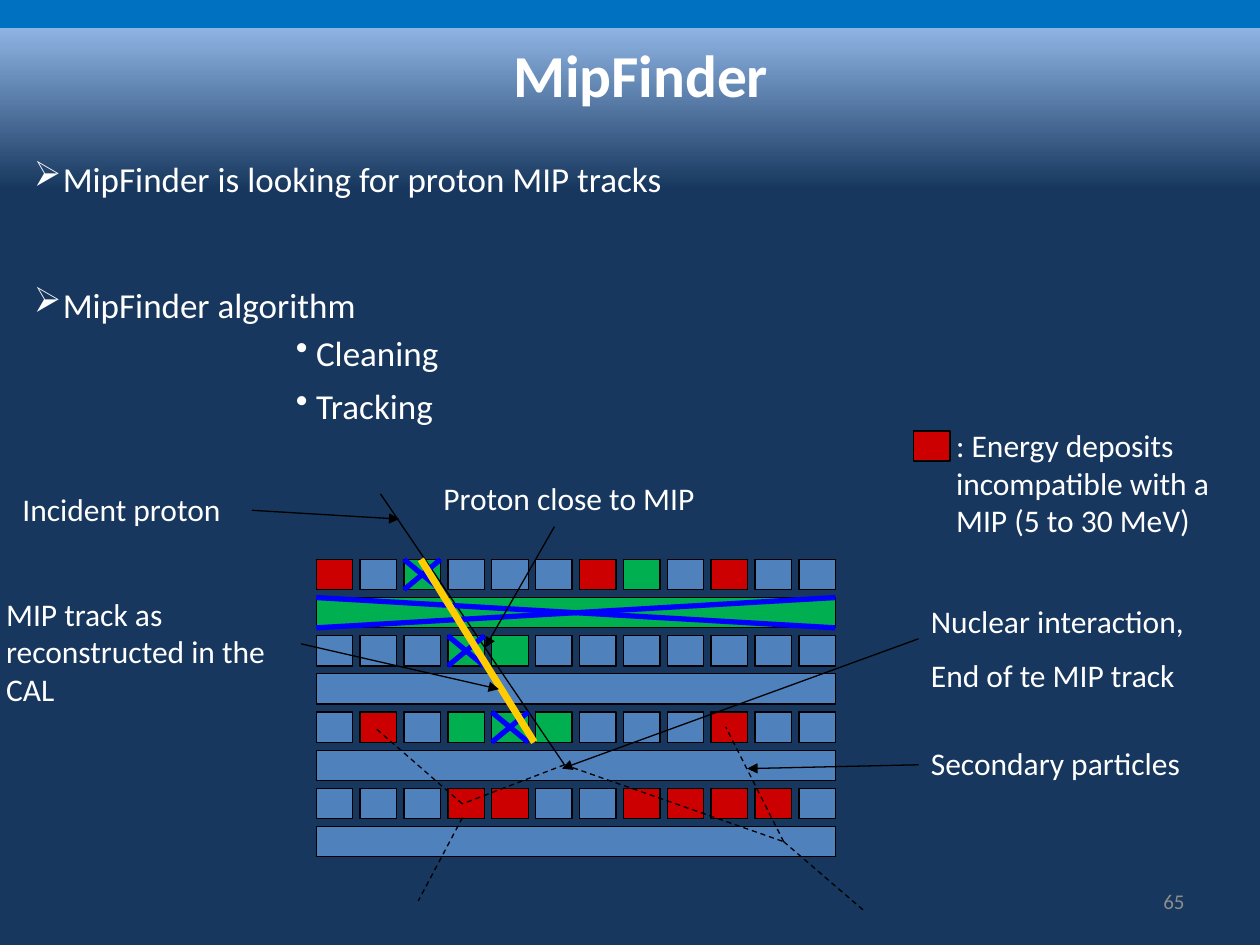
from lxml.etree import SubElement
from pptx import Presentation
from pptx.dml.color import RGBColor
from pptx.enum.dml import MSO_LINE
from pptx.enum.shapes import MSO_CONNECTOR, MSO_SHAPE
from pptx.enum.text import MSO_ANCHOR, MSO_AUTO_SIZE, PP_ALIGN
from pptx.oxml.ns import qn
from pptx.util import Inches, Pt

WHITE, BLACK, GREY = "FFFFFF", "000000", "8C8C8C"
RED, GREEN, STEEL = "CC0000", "00B050", "4F81BD"
BLUE, YELLOW = "0000FF", "FFCC00"
BACKGROUND = [(3, "0070C0"), (3, "8EB4E3"), (20, "17375E"), (100, "17375E")]

# Calorimeter layers: one letter per cell, a single letter is a full-width bar
LAYERS = ["RBGBBBRGBRBB", "G", "BBBGGBBBBBBB", "B",
          "BRBGGGBBBRBB", "B", "BBBRRBBRRRRB", "B"]
CELL_COLORS = {"R": RED, "G": GREEN, "B": STEEL}
CROSSED = [(1, 0), (4, 4), (0, 2), (2, 3)]  # layer, column
GRID_LEFT, GRID_TOP, GRID_WIDTH = 2.51, 4.44, 4.12
CELL_WIDTH, CELL_HEIGHT = 0.29, 0.24
COLUMN_STEP = (GRID_WIDTH - CELL_WIDTH) / 11
ROW_STEP = 2.12 / 7

# Particle paths
PROTON_START, VERTEX = (3.02, 3.92), (4.48, 6.07)
LEFT_HIT, RIGHT_HIT = (3.67, 6.38), (6.22, 6.68)
SECONDARIES = [
    (VERTEX, LEFT_HIT), (VERTEX, RIGHT_HIT),
    (LEFT_HIT, (2.97, 5.77)), (RIGHT_HIT, (5.76, 5.77)),
    ((3.67, 6.49), (3.32, 7.15)), (RIGHT_HIT, (6.86, 7.23)),
]
MIP_TRACK = ((3.34, 4.44), (4.24, 5.89))
POINTERS = [
    ((2.39, 5.11), (3.96, 5.47)),
    ((2, 4.05), (3.17, 4.12)),
    ((4.4, 4.18), (3.85, 5.14)),
    ((7.29, 5.07), (4.46, 6.1)),
    ((7.29, 6.07), (5.93, 6.1)),
]

# Text: left, top, width, height, paragraphs
LABELS = [
    (7.49, 3.33, 2.63, 1.01, [": Energy deposits incompatible with a MIP (5 to 30 MeV)"]),
    (-0.05, 4.67, 2.61, 1.01, ["MIP track as reconstructed in the CAL"]),
    (0.08, 3.84, 2.04, 0.4, ["Incident proton"]),
    (3.42, 3.75, 3.85, 0.4, ["Proton close to MIP"]),
    (7.29, 4.73, 3.25, 0.85, ["Nuclear interaction,", "End of te MIP track"]),
    (7.29, 5.86, 3, 0.4, ["Secondary particles"]),
]
# Bulleted text: left, top, width, bullet, hanging indent, wording
BULLETS = [
    (0.17, 1.2, 9.83, "➢", 0.23, "MipFinder is looking for proton MIP tracks"),
    (0.17, 2.2, 9.83, "➢", 0.23, "MipFinder algorithm"),
    (2.25, 2.58, 7.92, "•", 0.16, "Cleaning"),
    (2.25, 3, 7.92, "•", 0.16, "Tracking"),
]

deck = Presentation()
deck.slide_width, deck.slide_height = Inches(10), Inches(7.5)
page = deck.slides.add_slide(deck.slide_layouts[6])


def color(value):
    return RGBColor.from_string(value)


def paint_background():
    fill = page.background.fill
    fill.gradient()
    fill.gradient_angle = 270
    stops = page.element.find(".//" + qn("a:gsLst"))
    for stop in list(stops):
        stops.remove(stop)
    for position, value in BACKGROUND:
        stop = SubElement(stops, qn("a:gs"), pos=str(position * 1000))
        SubElement(stop, qn("a:srgbClr"), val=value)


def add_cell(left, top, width, fill):
    cell = page.shapes.add_shape(MSO_SHAPE.RECTANGLE, Inches(left), Inches(top),
                                 Inches(width), Inches(CELL_HEIGHT))
    cell.shadow.inherit = False
    cell.fill.solid()
    cell.fill.fore_color.rgb = color(fill)
    cell.line.color.rgb = color(BLACK)
    cell.line.width = Pt(0.75)


def add_line(start, end, stroke=BLACK, width=0.75, dashed=False, arrow=False):
    line = page.shapes.add_connector(MSO_CONNECTOR.STRAIGHT,
                                     *(Inches(value) for value in start + end))
    line.line.color.rgb = color(stroke)
    line.line.width = Pt(width)
    if dashed:
        line.line.dash_style = MSO_LINE.DASH
    if arrow:
        SubElement(line.line._get_or_add_ln(), qn("a:tailEnd"), type="triangle")
    SubElement(line.element.spPr, qn("a:effectLst"))


def add_text(left, top, width, height, paragraphs, size=18, fill=WHITE, bold=False,
             align=PP_ALIGN.LEFT, bullet=None, indent=0, grow=True):
    box = page.shapes.add_textbox(Inches(left), Inches(top), Inches(width), Inches(height))
    frame = box.text_frame
    frame.text = "\n".join(paragraphs)
    frame.word_wrap = True
    if grow:
        frame.auto_size = MSO_AUTO_SIZE.SHAPE_TO_FIT_TEXT
    else:
        frame.vertical_anchor = MSO_ANCHOR.MIDDLE
    for index, para in enumerate(frame.paragraphs):
        para.alignment = align
        if index:
            para.space_before = Pt(size / 2)
        if bullet:
            properties = para._p.get_or_add_pPr()
            properties.set("marL", str(Inches(indent)))
            properties.set("indent", str(-Inches(indent)))
            SubElement(properties, qn("a:buChar"), char=bullet)
        for span in para.runs:
            span.font.name = "Calibri"
            span.font.size = Pt(size)
            span.font.bold = bold
            span.font.color.rgb = color(fill)


paint_background()

# Calorimeter grid and legend cell
for row, layer in enumerate(LAYERS):
    cell_width = GRID_WIDTH if len(layer) == 1 else CELL_WIDTH
    for column, letter in enumerate(layer):
        add_cell(GRID_LEFT + column * COLUMN_STEP, GRID_TOP + row * ROW_STEP,
                 cell_width, CELL_COLORS[letter])
add_cell(7.25, 3.42, CELL_WIDTH, RED)

# Proton and secondary particles
add_line(PROTON_START, VERTEX)
for start, end in SECONDARIES:
    add_line(start, end, dashed=True)

# Crosses on the cells of the track, then the track itself
for row, column in CROSSED:
    left, top = GRID_LEFT + column * COLUMN_STEP, GRID_TOP + row * ROW_STEP
    right = left + (GRID_WIDTH if len(LAYERS[row]) == 1 else CELL_WIDTH)
    bottom = top + CELL_HEIGHT
    add_line((left, top), (right, bottom), BLUE, 3)
    add_line((left, bottom), (right, top), BLUE, 3)
add_line(*MIP_TRACK, YELLOW, 4)

# Labels and their pointers
for start, end in POINTERS:
    add_line(start, end, arrow=True)
for label in LABELS:
    add_text(*label)

# Title, bullets and page number
add_text(0.17, 0.25, 9.83, 0.67, ["MipFinder"], 34, bold=True, align=PP_ALIGN.CENTER)
for left, top, width, bullet, indent, wording in BULLETS:
    add_text(left, top, width, 0.44, [wording], 20, bullet=bullet, indent=indent)
add_text(7.17, 6.95, 2.33, 0.4, ["65"], 12, GREY, align=PP_ALIGN.RIGHT, grow=False)

deck.save("out.pptx")
